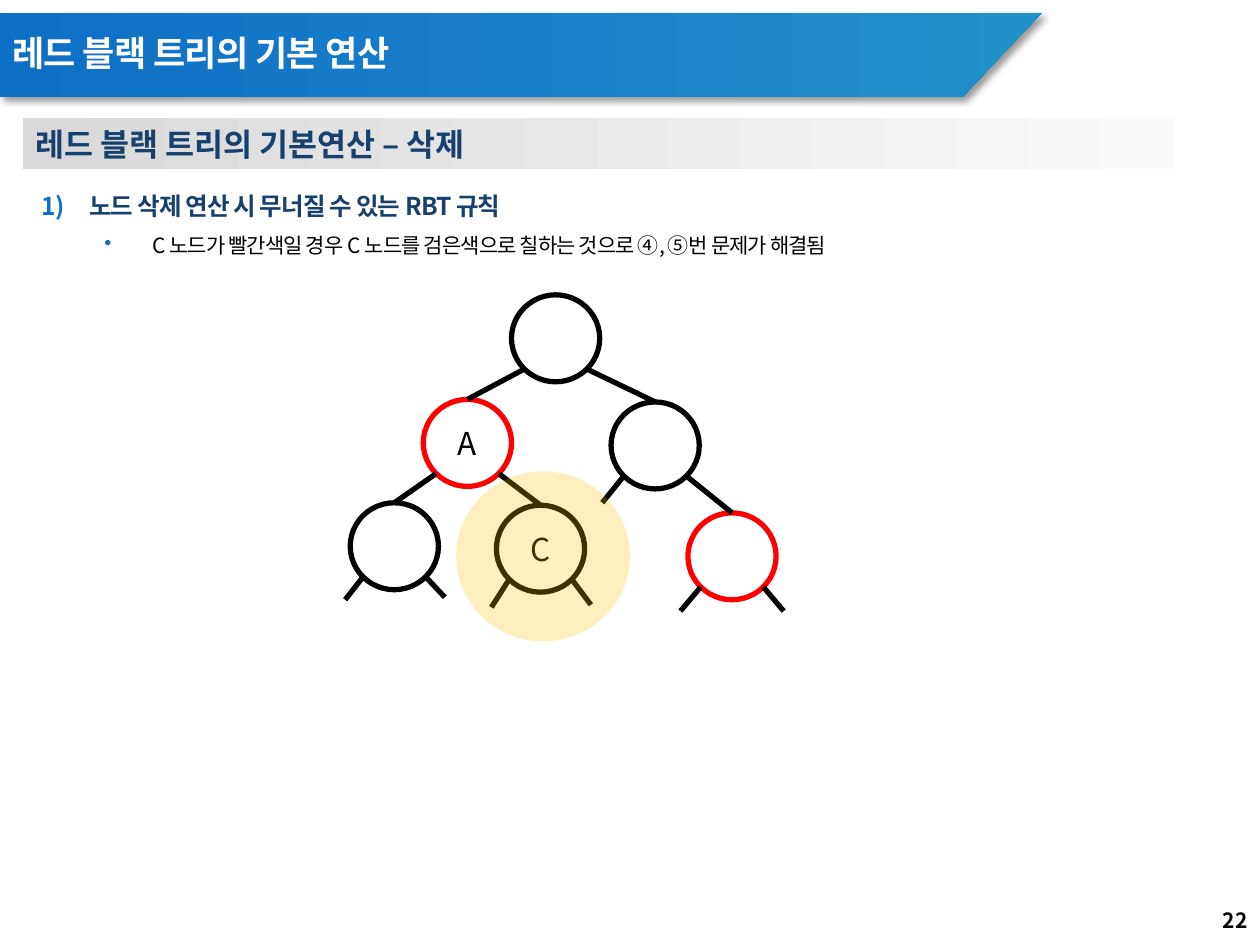
from dataclasses import dataclass
from typing import Optional

from lxml.etree import SubElement
from pptx import Presentation
from pptx.dml.color import RGBColor as RGB
from pptx.enum.shapes import MSO_CONNECTOR as Link, MSO_SHAPE as Kind
from pptx.enum.text import MSO_ANCHOR as Anchor, PP_ALIGN as Align
from pptx.oxml.ns import qn
from pptx.util import Inches, Pt


@dataclass(frozen=True)
class Theme:
    font: str = "Noto Sans CJK KR"
    black: str = "000000"
    white: str = "FFFFFF"
    red: str = "FF0000"
    navy: str = "17406D"
    blue: str = "0F6FC6"
    teal: str = "2191C9"
    gray: str = "D9D9D9"
    pale: str = "FAFAFA"
    gold: str = "FFC000"
    title: int = 20
    head: int = 18
    rule: int = 14
    note: int = 12
    line: int = 3


@dataclass(frozen=True)
class Node:
    x: float
    y: float
    color: str
    label: str = ""
    up: Optional[str] = None   # parent node
    side: int = 0              # -1 left child, 1 right child


@dataclass(frozen=True)
class Stub:
    node: str
    side: int
    x: float
    y: float


T = Theme()
WIDE, HIGH = 0.7, 0.69         # node size
REACH, DROP = 0.25, 0.59       # where a branch leaves a node

NODES = {
    "root": Node(4.06, 2.34, T.black),
    "a": Node(3.36, 3.17, T.red, "A", "root", -1),
    "right": Node(4.85, 3.19, T.black, "", "root", 1),
    "left": Node(2.78, 3.99, T.black, "", "a", -1),
    "c": Node(3.94, 4.01, T.black, "C", "a", 1),
    "leaf": Node(5.46, 4.07, T.red, "", "right", 1),
}
STUBS = [
    Stub("left", -1, 2.74, 4.76), Stub("left", 1, 3.53, 4.74),
    Stub("c", -1, 3.9, 4.82), Stub("c", 1, 4.69, 4.8),
    Stub("leaf", -1, 5.4, 4.85), Stub("leaf", 1, 6.22, 4.85),
    Stub("right", -1, 4.78, 3.99),
]


def style(para, size: int, color: str, bold: bool = False, gap: int = 0) -> None:
    for run in para.runs:
        font = run.font
        font.size, font.bold, font.name = Pt(size), bold, T.font
        font.color.rgb = RGB.from_string(color)
        props = run._r.get_or_add_rPr()
        SubElement(props, qn("a:ea"), typeface=T.font)
        if gap:
            props.set("spc", str(gap))


def fade(shape, start: str, end: str) -> None:
    shape.fill.gradient()
    shape.fill.gradient_angle = 0
    for stop, color, place in zip(shape.fill.gradient_stops, (start, end), (0, 1)):
        stop.color.rgb, stop.position = RGB.from_string(color), place
    shape.line.fill.background()
    shape.shadow.inherit = False


def write(slide, box: tuple, text: str):
    frame = slide.shapes.add_textbox(*map(Inches, box)).text_frame
    frame.word_wrap = True
    frame.text = text
    return frame


def bullet(para, left: float, tag: str, **kind: str) -> None:
    props = para._p.get_or_add_pPr()
    props.set("marL", str(Inches(left)))
    props.set("indent", str(Inches(-0.38)))
    tint = SubElement(props, qn("a:buClr"))
    SubElement(tint, qn("a:srgbClr"), val=T.blue)
    SubElement(props, qn(tag), **kind)
    para.line_spacing = 1.5


def circle(slide, x: float, y: float, wide: float, high: float, color: str):
    shape = slide.shapes.add_shape(Kind.OVAL, *map(Inches, (x, y, wide, high)))
    shape.shadow.inherit = False
    shape.fill.solid()
    shape.fill.fore_color.rgb = RGB.from_string(color)
    return shape


def draw(slide, node: Node):
    shape = circle(slide, node.x, node.y, WIDE, HIGH, T.white)
    shape.line.color.rgb = RGB.from_string(node.color)
    shape.line.width = Pt(T.line)
    if node.label:
        frame = shape.text_frame
        frame.text = node.label
        frame.vertical_anchor = Anchor.MIDDLE
        frame.paragraphs[0].alignment = Align.CENTER
        style(frame.paragraphs[0], T.head, T.black)
    return shape


def branch(slide, node: Node, side: int, x: float, y: float):
    start = node.x + WIDE / 2 + side * REACH, node.y + DROP
    line = slide.shapes.add_connector(Link.STRAIGHT, *map(Inches, (*start, x, y)))
    line.line.color.rgb = RGB.from_string(T.black)
    line.line.width = Pt(T.line)
    SubElement(line._element.spPr, qn("a:effectLst"))
    return line


def banner(slide) -> None:
    pen = slide.shapes.build_freeform(0, Inches(0.1))
    edge = [(8.27, 0.1), (7.64, 0.77), (0, 0.77)]
    pen.add_line_segments([(Inches(x), Inches(y)) for x, y in edge], close=True)
    shape = pen.convert_to_shape()
    fade(shape, T.blue, T.teal)
    glow = SubElement(shape._element.spPr.find(qn("a:effectLst")), qn("a:outerShdw"),
                      blurRad=str(Pt(4)), dist=str(Pt(3)), dir=str(45 * 60000),
                      algn="tl", rotWithShape="0")
    tint = SubElement(glow, qn("a:srgbClr"), val=T.black)
    SubElement(tint, qn("a:alpha"), val="40000")

    frame = write(slide, (0, 0.2, 6.69, 0.47), "레드 블랙 트리의 기본 연산")
    frame.vertical_anchor = Anchor.MIDDLE
    frame.paragraphs[0].line_spacing = 0.9
    style(frame.paragraphs[0], T.title, T.white, True, -40)


def content(slide) -> None:
    # Section bar
    bar = slide.shapes.add_shape(Kind.RECTANGLE, *map(Inches, (0.18, 0.94, 9.13, 0.4)))
    fade(bar, T.gray, T.pale)
    frame = bar.text_frame
    frame.text = "레드 블랙 트리의 기본연산 – 삭제"
    frame.vertical_anchor = Anchor.TOP
    frame.paragraphs[0].alignment = Align.LEFT
    style(frame.paragraphs[0], T.head, T.navy, True)

    # Rule and note
    frame = write(slide, (0.23, 1.35, 9.45, 0.72),
                  "노드 삭제 연산 시 무너질 수 있는 RBT 규칙\n"
                  "C 노드가 빨간색일 경우 C 노드를 검은색으로 칠하는 것으로 ④, ⑤번 문제가 해결됨")
    rule, note = frame.paragraphs
    bullet(rule, 0.38, "a:buAutoNum", type="arabicParenR")
    style(rule, T.rule, T.navy, True, -50)
    note.level = 1
    bullet(note, 0.88, "a:buChar", char="•")
    style(note, T.note, T.black, False, -50)


def tree(slide) -> None:
    shapes = {name: draw(slide, node) for name, node in NODES.items()}
    for name, node in NODES.items():
        if node.up:
            line = branch(slide, NODES[node.up], node.side, node.x + WIDE / 2, node.y)
            line.end_connect(shapes[name], 0)
    for stub in STUBS:
        branch(slide, NODES[stub.node], stub.side, stub.x, stub.y)

    # Highlight around C
    halo = circle(slide, 3.62, 3.74, 1.38, 1.35, T.gold)
    halo.line.fill.background()
    tint = halo._element.spPr.find(qn("a:solidFill"))[0]
    SubElement(tint, qn("a:alpha"), val="25000")


def main() -> None:
    deck = Presentation()
    deck.slide_width, deck.slide_height = Inches(10), Inches(7.5)
    slide = deck.slides.add_slide(deck.slide_layouts[6])
    banner(slide)
    content(slide)
    tree(slide)

    # Page number
    frame = write(slide, (7.75, 7.1, 2.25, 0.4), "22")
    frame.vertical_anchor = Anchor.MIDDLE
    frame.paragraphs[0].alignment = Align.RIGHT
    style(frame.paragraphs[0], T.note, T.black, True)
    deck.save("out.pptx")


if __name__ == "__main__":
    main()
